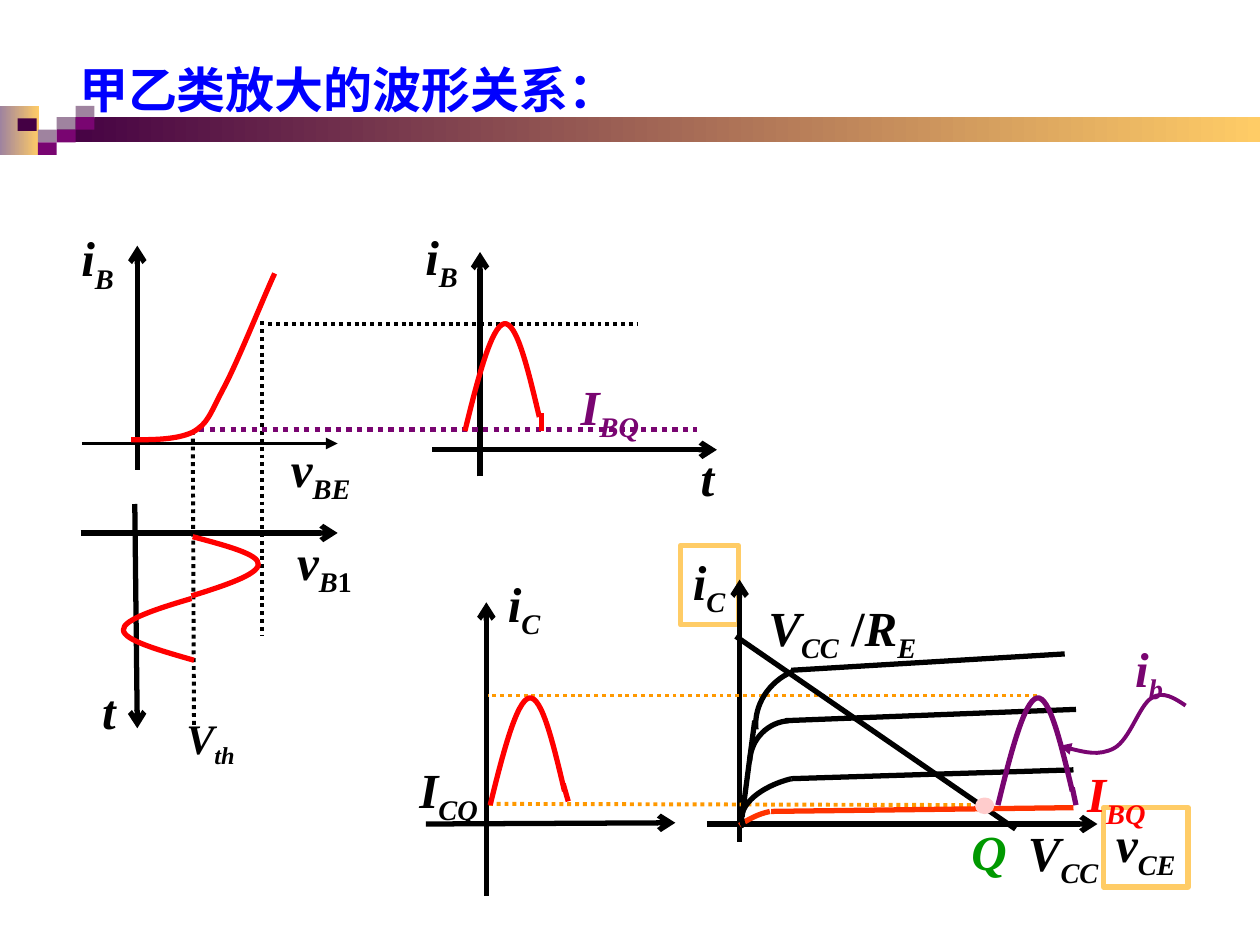
import pptx
import pptx.dml.color
import pptx.enum.dml
import pptx.enum.shapes
import pptx.enum.text
import pptx.oxml
import pptx.oxml.ns
import pptx.util

PX = 9144  # 100 px to the inch
COLORS = {
    "black": "000000", "red": "FF0000", "scarlet": "FF3300", "purple": "790571",
    "dark": "440044", "mauve": "9F839F", "gold": "FFCC66", "orange": "FF9900",
    "blue": "0000FF", "green": "009900", "pink": "FFCCCC",
}
RGB = {name: pptx.dml.color.RGBColor.from_string(value) for name, value in COLORS.items()}
SHAPES = pptx.enum.shapes.MSO_SHAPE
ALIGN = {"left": pptx.enum.text.PP_ALIGN.LEFT, "center": pptx.enum.text.PP_ALIGN.CENTER}
ANCHOR = {"top": pptx.enum.text.MSO_ANCHOR.TOP, "middle": pptx.enum.text.MSO_ANCHOR.MIDDLE}


def style_line(shape, color, width, dotted=False, head=None, tail=None):
    shape.line.color.rgb = RGB[color]
    shape.line.width = pptx.util.Pt(width)
    if dotted:
        shape.line.dash_style = pptx.enum.dml.MSO_LINE.ROUND_DOT
    line = shape.line._get_or_add_ln()
    for tag, kind in (("a:headEnd", head), ("a:tailEnd", tail)):
        if kind:
            line.append(line.makeelement(pptx.oxml.ns.qn(tag), {"type": kind}))


def write_text(shape, runs, color, size, align, anchor, wrap=False):
    frame = shape.text_frame
    frame.word_wrap = wrap
    frame.auto_size = pptx.enum.text.MSO_AUTO_SIZE.SHAPE_TO_FIT_TEXT
    frame.vertical_anchor = ANCHOR[anchor]
    paragraph = frame.paragraphs[0]
    paragraph.alignment = ALIGN[align]
    for text, style in runs:
        run = paragraph.add_run()
        run.text = text
        run.font.name = "Times New Roman"
        run.font.size = pptx.util.Pt(size)
        run.font.bold = True
        run.font.italic = "italic" in style
        run.font.color.rgb = RGB[color]
        if "sub" in style:
            run.font._element.set("baseline", "-25000")


presentation = pptx.Presentation()
presentation.slide_width = 1000 * PX
presentation.slide_height = 750 * PX
slide = presentation.slides.add_slide(presentation.slide_layouts[6])

# Header band and checker squares
blocks = [
    (0, 84, 31, 39, ("mauve", "gold")),
    (45, 93, 955, 20, ("dark", "gold")),
    (45, 93, 15, 10, ("mauve",)),
    (60, 84, 15, 10, ("mauve",)),
    (60, 93, 15, 10, ("purple",)),
    (30, 103, 15, 10, ("mauve",)),
    (14, 94, 15, 10, ("dark",)),
    (45, 103, 15, 10, ("purple",)),
    (30, 113, 15, 10, ("purple",)),
]
for left, top, width, height, colors in blocks:
    shape = slide.shapes.add_shape(SHAPES.RECTANGLE, left * PX, top * PX, width * PX, height * PX)
    shape.shadow.inherit = False
    shape.line.fill.background()
    if len(colors) == 2:
        shape.fill.gradient()
        shape.fill.gradient_angle = 0
        for stop, color in zip(shape.fill.gradient_stops, colors):
            stop.color.rgb = RGB[color]
    else:
        shape.fill.solid()
        shape.fill.fore_color.rgb = RGB[colors[0]]

# Framed axis names of the output characteristic
for left, top, width, name, subscript in ((540, 433, 46, "i", "C"), (876, 641, 67, "v", "CE")):
    shape = slide.shapes.add_shape(SHAPES.RECTANGLE, left * PX, top * PX, width * PX, 63 * PX)
    shape.shadow.inherit = False
    shape.fill.background()
    style_line(shape, "gold", 3)
    write_text(shape, [(name, "italic"), (subscript, "italic sub")], "black", 28, "left", "top")

# Axes, each pointing to its second end
axes = [
    (107, 400, 109, 578), (64, 423, 268, 423),
    (343, 357, 569, 357), (381, 378, 381, 200),
    (338, 654, 536, 653), (386, 711, 386, 478),
    (109, 373, 109, 195),
    (587, 668, 587, 460), (561, 654, 871, 654),
]
lines = [(*ends, "black", 3, False, "arrow") for ends in axes]
lines.append((65, 352, 268, 352, "black", 2.25, False, "triangle"))

# Dotted projection guides
lines += [
    (153, 342, 154, 578, "black", 2.25, True, None),
    (208, 255, 208, 504, "black", 2.25, True, None),
    (158, 341, 553, 341, "purple", 3, True, None),
    (213, 257, 506, 257, "black", 2.25, True, None),
    (388, 638, 786, 639, "orange", 2.25, True, None),
    (823, 552, 387, 552, "orange", 2.25, True, None),
]

# Ends of the half waves, load line and straight parts of the characteristics
lines += [(*ends, color, 3, False, None) for ends, color in (
    ((430, 328, 430, 342), "red"),
    ((447, 622, 451, 636), "red"),
    ((851, 625, 854, 639), "purple"),
    ((584, 505, 806, 658), "black"),
    ((628, 618, 852, 611), "black"),
    ((623, 572, 854, 563), "black"),
    ((612, 644, 852, 641), "scarlet"),
    ((599, 572, 589, 648), "black"),
    ((628, 532, 845, 519), "black"),
)]
for x1, y1, x2, y2, color, width, dotted, tail in lines:
    connector = slide.shapes.add_connector(
        pptx.enum.shapes.MSO_CONNECTOR.STRAIGHT, x1 * PX, y1 * PX, x2 * PX, y2 * PX)
    style_line(connector, color, width, dotted, tail=tail)
    connector._element.spPr.append(pptx.oxml.parse_xml(
        '<a:effectLst xmlns:a="http://schemas.openxmlformats.org/drawingml/2006/main"/>'))

# Curves: a start point, then three Bezier points for each segment
curves = [
    ("red", 3, None, [(104, 349), (122, 349), (140, 349), (153, 343), (165, 336), (166, 330),
                      (177, 309), (188, 289), (210, 234), (218, 217)]),
    ("red", 3, None, [(153, 426), (179, 433), (206, 440), (205, 448), (205, 456), (178, 465), (152, 473)]),
    ("red", 3, None, [(152, 475), (125, 483), (97, 492), (98, 500), (98, 508), (126, 516), (154, 524)]),
    ("purple", 2.25, "triangle", [(841, 592), (856, 596), (872, 600), (884, 594), (897, 587),
                                  (904, 560), (914, 554), (923, 548), (932, 554), (941, 560)]),
    ("scarlet", 3, None, [(587, 655), (594, 650), (602, 646), (611, 644)]),
    ("black", 3, None, [(600, 579), (598, 560), (610, 541), (629, 533)]),
    ("black", 3, None, [(628, 618), (604, 624), (586, 639), (589, 652), (589, 654), (590, 655), (591, 656)]),
    ("black", 3, None, [(595, 604), (596, 586), (610, 573), (626, 572)]),
]
half_wave = [(0, 0), (10, -41), (21, -83), (31, -85), (41, -87), (50, -49), (59, -11)]
for color, x, y in (("red", 369, 342), ("red", 389, 639), ("purple", 792, 639)):
    curves.append((color, 3, None, [(x + dx, y + dy) for dx, dy in half_wave]))

for color, width, head, points in curves:
    builder = slide.shapes.build_freeform(*points[0], scale=PX)
    builder.add_line_segments(points[1:], close=False)
    shape = builder.convert_to_shape()
    shape.shadow.inherit = False
    shape.fill.background()
    style_line(shape, color, width, head=head)
    segments = list(shape._element.iter(pptx.oxml.ns.qn("a:lnTo")))
    outline = segments[0].getparent()
    for first in range(0, len(segments), 3):
        bezier = outline.makeelement(pptx.oxml.ns.qn("a:cubicBezTo"), {})
        outline.append(bezier)
        for segment in segments[first:first + 3]:
            bezier.append(segment[0])
            outline.remove(segment)

# Title and labels; boxes are wide enough to hold each label on one line
labels = [
    (53, 42, 447, 57, "blue", 28, "left", "middle", False, [("甲乙类放大的波形关系：", "")]),
    (138, 560, 68, 56, "black", 24, "left", "middle", True, [("V", "italic"), ("th", "italic sub")]),
    (223, 417, 69, 63, "black", 28, "center", "middle", False,
     [("v", "italic"), ("B", "italic sub"), ("1", "sub")]),
    (600, 469, 137, 63, "black", 28, "left", "top", False,
     [("V", "italic"), ("CC", "italic sub"), (" /", ""), ("R", "italic"), ("E", "italic sub")]),
    (806, 648, 116, 63, "black", 28, "left", "top", True, [("V", "italic"), ("CC", "italic sub")]),
]
for left, top, width, color, name, subscript in (
    (46, 176, 63, "black", "i", "B"),
    (319, 175, 63, "black", "i", "B"),
    (219, 343, 71, "black", "v", "BE"),
    (448, 294, 72, "purple", "I", "BQ"),
    (320, 598, 72, "black", "I", "CQ"),
    (391, 450, 50, "black", "i", "C"),
    (889, 502, 46, "purple", "i", "b"),
    (850, 601, 72, "red", "I", "BQ"),
):
    labels.append((left, top, width, 63, color, 28, "center", "middle", False,
                   [(name, "italic"), (subscript, "italic sub")]))
for left, top, width, color, name in (
    (71, 535, 31, "black", "t"), (546, 350, 31, "black", "t"), (761, 647, 48, "green", "Q"),
):
    labels.append((left, top, width, 57, color, 28, "center", "middle", False, [(name, "italic")]))
for left, top, width, height, color, size, align, anchor, wrap, runs in labels:
    shape = slide.shapes.add_textbox(left * PX, top * PX, width * PX, height * PX)
    write_text(shape, runs, color, size, align, anchor, wrap)

# Operating point Q
shape = slide.shapes.add_shape(SHAPES.OVAL, 776 * PX, 635 * PX, 11 * PX, 9 * PX)
shape.shadow.inherit = False
shape.fill.solid()
shape.fill.fore_color.rgb = RGB["pink"]
style_line(shape, "pink", 3)

presentation.save("out.pptx")
